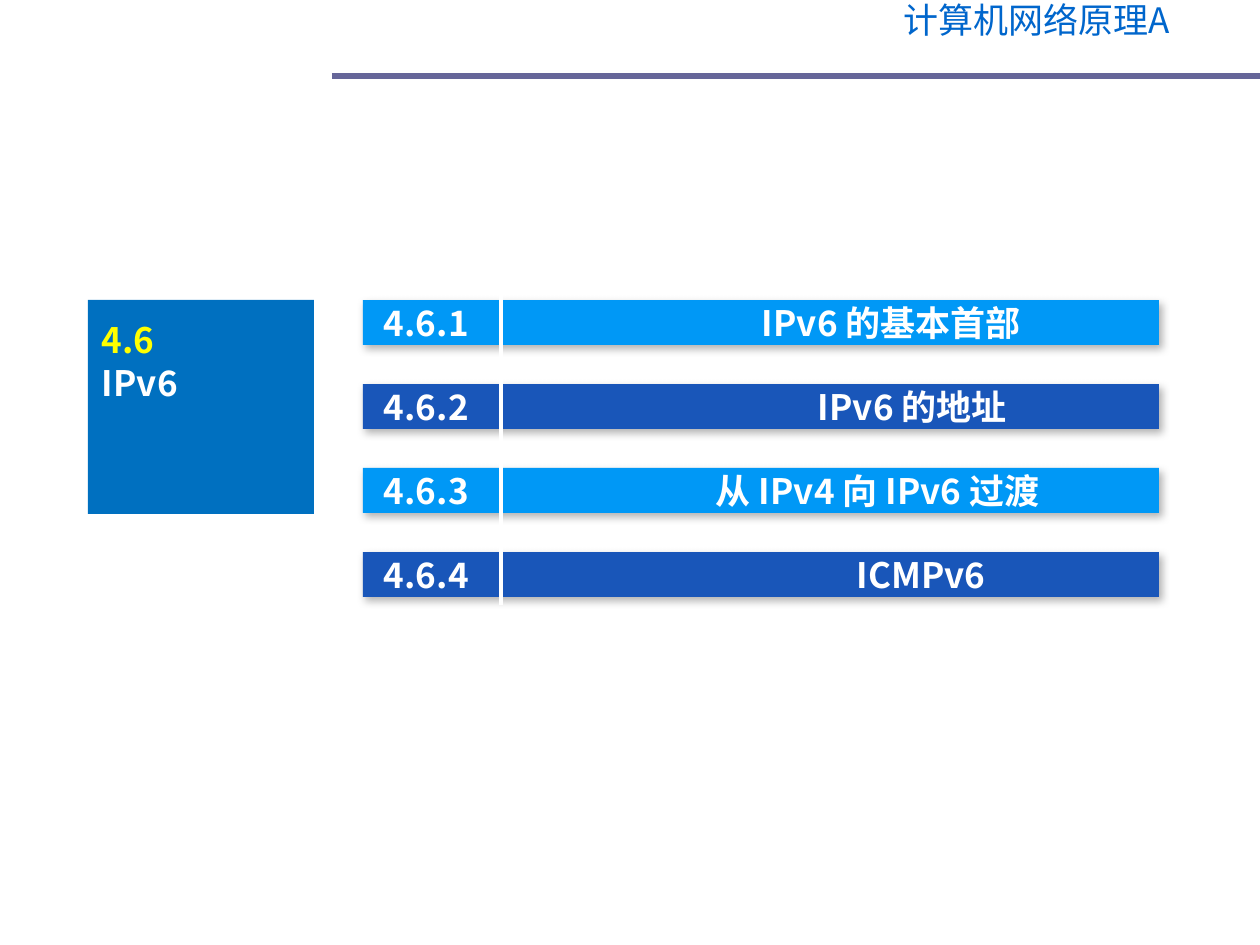
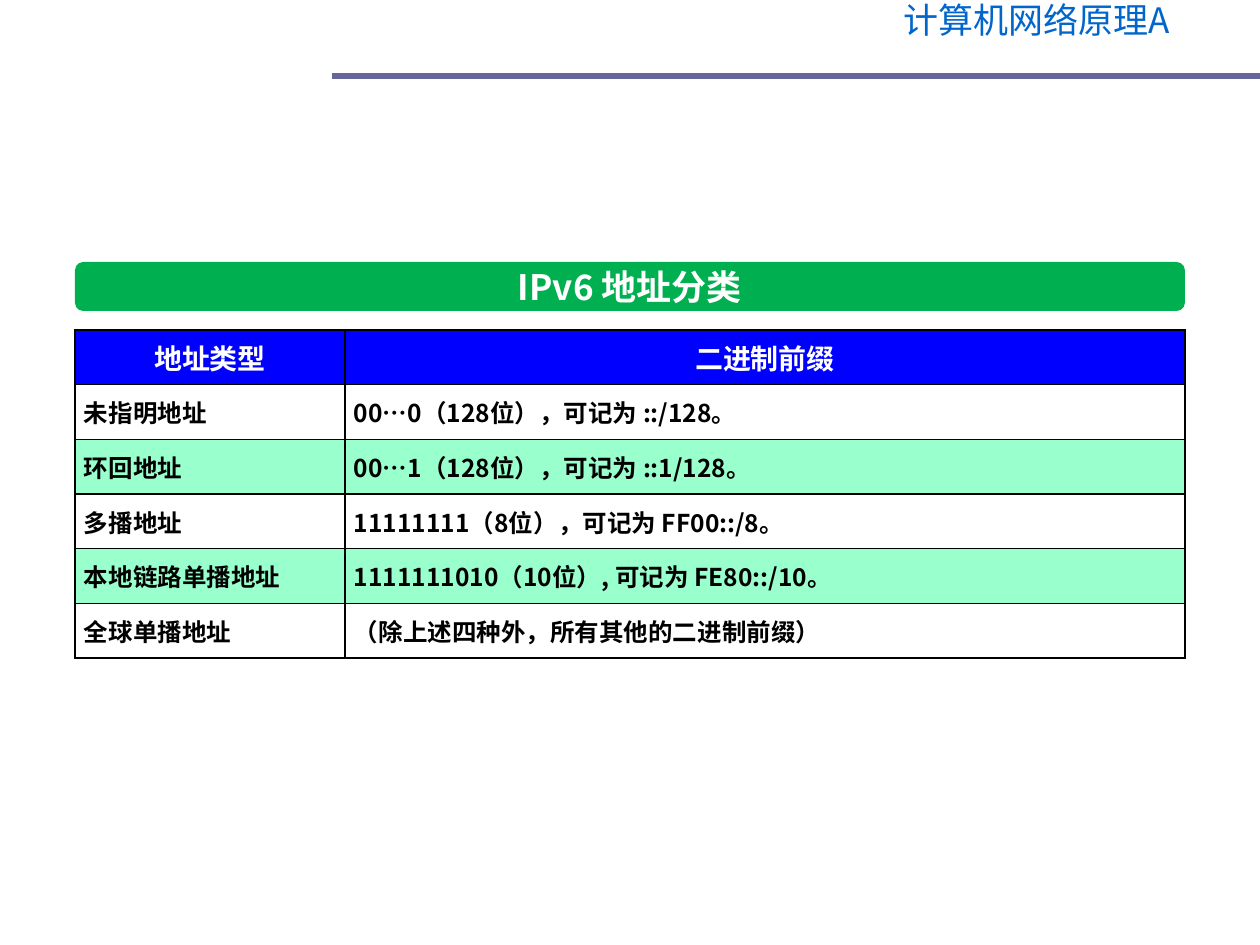
from lxml.etree import SubElement
from pptx import Presentation
from pptx.dml.color import RGBColor
from pptx.enum.shapes import MSO_CONNECTOR, MSO_SHAPE
from pptx.enum.text import MSO_ANCHOR, PP_ALIGN
from pptx.oxml import parse_xml
from pptx.oxml.ns import nsdecls, qn
from pptx.util import Emu, Pt

# Content
COURSE = "计算机网络原理A"
PANEL = [("4.6", "FFFF00"), ("IPv6", "FFFFFF")]
# number, title, left edge of the title
TOPICS = [
    ("4.6.1", "IPv6 的基本首部", 762),
    ("4.6.2", "IPv6 的地址", 818),
    ("4.6.3", "从 IPv4 向 IPv6 过渡", 716),
    ("4.6.4", "ICMPv6", 857),
]
BANNER = "IPv6 地址分类"
ROWS = [
    ("地址类型", "二进制前缀"),
    ("未指明地址", "00…0（128位），可记为 ::/128。"),
    ("环回地址", "00…1（128位），可记为 ::1/128。"),
    ("多播地址", "11111111（8位），可记为 FF00::/8。"),
    ("本地链路单播地址", "1111111010（10位）, 可记为 FE80::/10。"),
    ("全球单播地址", "（除上述四种外，所有其他的二进制前缀）"),
]

# Shared style
FONT = "Noto Sans CJK SC"
WHITE, BLACK = "FFFFFF", "000000"
BARS = ["0098F6", "1956B9"]
WIDTH, HEIGHT = 1260, 945


def px(n):
    return Emu(round(n * 914400 / 126))


def rgb(code):
    return RGBColor.from_string(code)


def write(para, text, size, color, bold=True):
    run = para.add_run()
    run.text = text
    font = run.font
    font.size, font.bold, font.name = Pt(size), bold, FONT
    font.color.rgb = rgb(color)
    SubElement(font._element, qn("a:ea")).set("typeface", FONT)


def inset(frame, left=0, top=0, right=0, bottom=0):
    frame.margin_left, frame.margin_top = px(left), px(top)
    frame.margin_right, frame.margin_bottom = px(right), px(bottom)


def block(slide, box, color, kind=MSO_SHAPE.RECTANGLE):
    shape = slide.shapes.add_shape(kind, *map(px, box))
    shape.fill.solid()
    shape.fill.fore_color.rgb = rgb(color)
    shape.line.fill.background()
    shape.shadow.inherit = False
    frame = shape.text_frame
    frame.word_wrap = True
    frame.vertical_anchor = MSO_ANCHOR.MIDDLE
    inset(frame)
    return shape


def shade(shape):
    effects = shape._element.spPr.find(qn("a:effectLst"))
    effects.append(parse_xml(
        f'<a:outerShdw {nsdecls("a")} blurRad="{Pt(4.5)}" dist="{Pt(2.6)}" '
        f'dir="{53 * 60000}" algn="tl" rotWithShape="0">'
        f'<a:srgbClr val="{BLACK}"><a:alpha val="30000"/></a:srgbClr></a:outerShdw>'))


def rule(slide, ends, color, width):
    line = slide.shapes.add_connector(MSO_CONNECTOR.STRAIGHT, *map(px, ends))
    line.line.color.rgb = rgb(color)
    line.line.width = Pt(width)
    SubElement(line._element.spPr, qn("a:effectLst"))


def start(deck):
    """Blank slide with the course name and the rule below it."""
    slide = deck.slides.add_slide(deck.slide_layouts[6])
    frame = slide.shapes.add_textbox(px(848), px(0), px(377), px(55)).text_frame
    frame.word_wrap = False
    para = frame.paragraphs[0]
    para.alignment, para.line_spacing = PP_ALIGN.CENTER, 0.8
    write(para, COURSE, 20, "0066CC", False)
    rule(slide, (332, 76, WIDTH, 76), "666699", 3)
    return slide


def agenda(deck):
    slide = start(deck)
    # Section panel
    frame = block(slide, (88, 300, 226, 214), "0070C0").text_frame
    frame.vertical_anchor = MSO_ANCHOR.TOP
    inset(frame, left=14, top=19)
    for i, (text, color) in enumerate(PANEL):
        para = frame.add_paragraph() if i else frame.paragraphs[0]
        para.alignment = PP_ALIGN.LEFT
        write(para, text, 20, color)

    # Topic bars
    left, top, step, pad = 363, 300, 84, 21
    for i, (number, title, edge) in enumerate(TOPICS):
        bar = block(slide, (left, top + i * step, 796, 45), BARS[i % 2])
        shade(bar)
        inset(bar.text_frame, left=pad)
        para = bar.text_frame.paragraphs[0]
        para.alignment = PP_ALIGN.LEFT
        tabs = SubElement(para._p.get_or_add_pPr(), qn("a:tabLst"))
        stop = SubElement(tabs, qn("a:tab"))
        stop.set("pos", str(px(edge - left - pad)))
        stop.set("algn", "l")
        write(para, f"{number}\t{title}", 20, WHITE)
    rule(slide, (501, 290, 501, 605), WHITE, 2.25)


def border(cell):
    props = cell._tc.get_or_add_tcPr()
    for i, side in enumerate("LRTB"):
        props.insert(i, parse_xml(
            f'<a:ln{side} {nsdecls("a")} w="{Pt(1)}"><a:solidFill>'
            f'<a:srgbClr val="{BLACK}"/></a:solidFill></a:ln{side}>'))


def classes(deck):
    slide = start(deck)
    # Banner
    shape = block(slide, (75, 262, 1110, 49), "00B050", MSO_SHAPE.ROUNDED_RECTANGLE)
    shape.adjustments[0] = 0.17
    para = shape.text_frame.paragraphs[0]
    para.alignment = PP_ALIGN.CENTER
    write(para, BANNER, 20, WHITE)

    # Address table
    table = slide.shapes.add_table(
        len(ROWS), 2, px(75), px(330), px(1110), px(328)).table
    table.first_row = table.horz_banding = False
    for col, width in zip(table.columns, (270, 840)):
        col.width = px(width)
    for r, row in enumerate(ROWS):
        head = r == 0
        for c, text in enumerate(row):
            cell = table.cell(r, c)
            cell.vertical_anchor = MSO_ANCHOR.MIDDLE
            inset(cell, left=9, right=9)
            if head or r % 2 == 0:
                cell.fill.solid()
                cell.fill.fore_color.rgb = rgb("0000FF" if head else "99FFCC")
            else:
                cell.fill.background()
            border(cell)
            para = cell.text_frame.paragraphs[0]
            para.alignment = PP_ALIGN.CENTER if head else PP_ALIGN.JUSTIFY
            write(para, text, 16 if head else 14, WHITE if head else BLACK)


def main():
    deck = Presentation()
    deck.slide_width, deck.slide_height = px(WIDTH), px(HEIGHT)
    agenda(deck)
    classes(deck)
    deck.save("out.pptx")


if __name__ == "__main__":
    main()
